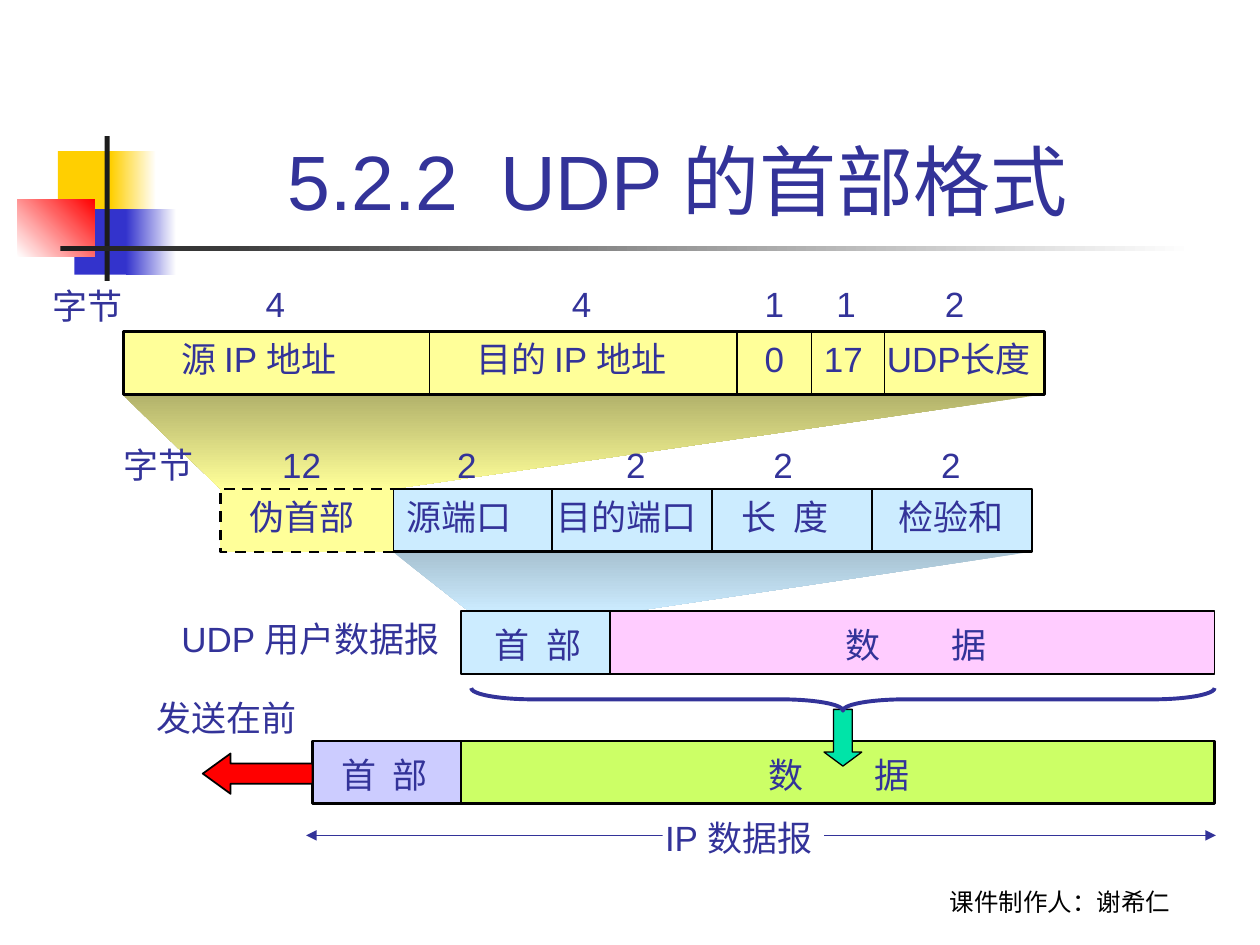
"""Build the slide on the UDP header format."""
import pptx
import pptx.dml.color
import pptx.enum.dml
import pptx.enum.shapes
import pptx.enum.text
import pptx.oxml.ns
import pptx.util
from lxml import etree

Inches = pptx.util.Inches
Pt = pptx.util.Pt
MSO = pptx.enum.shapes.MSO_SHAPE
RGB = pptx.dml.color.RGBColor.from_string
qn = pptx.oxml.ns.qn

C = {"gold": "FFCF01", "blue": "3333CC", "red": "FF0000", "ink": "1C1C1C",
     "white": "FFFFFF", "black": "000000", "navy": "333399", "yellow": "FFFF99",
     "olive": "B2B26B", "sky": "CCECFF", "steel": "A7C1D1", "lilac": "CCCCFF",
     "lime": "CCFF66", "pink": "FFCCFF", "mint": "00E4A8"}

prs = pptx.Presentation()
prs.slide_width, prs.slide_height = Inches(10), Inches(7.5)
s = prs.slides.add_slide(prs.slide_layouts[6])


def style(sp, fill=None, line=None, width=1, angle=0):
    sp.shadow.inherit = False
    if isinstance(fill, tuple):
        sp.fill.gradient()
        sp.fill.gradient_angle = angle
        for stop, name in zip(sp.fill.gradient_stops, fill):
            stop.color.rgb = RGB(C[name])
    elif fill:
        sp.fill.solid()
        sp.fill.fore_color.rgb = RGB(C[fill])
    else:
        sp.fill.background()
    if line:
        sp.line.color.rgb = RGB(C[line])
        sp.line.width = Pt(width)
    else:
        sp.line.fill.background()
    return sp


def label(text, x, y, w, h=0.44, tab=None, size=20, font="Arial", color="navy", **frame):
    tf = s.shapes.add_textbox(Inches(x), Inches(y), Inches(w), Inches(h)).text_frame
    for name, value in {"word_wrap": True, "margin_right": 0, **frame}.items():
        setattr(tf, name, value)
    p = tf.paragraphs[0]
    if tab:
        tabs = etree.SubElement(p._p.get_or_add_pPr(), qn("a:tabLst"))
        etree.SubElement(tabs, qn("a:tab"), pos=str(Inches(tab)), algn="l")
    r = p.add_run()
    r.text = text
    for name, value in {"size": Pt(size), "name": font}.items():
        setattr(r.font, name, value)
    r.font.color.rgb = RGB(C[color])
    return p


for x, y, w, h, fill, angle in [
    (0.46, 1.2, 0.48, 0.52, "gold", 0),
    (0.88, 1.2, 0.36, 0.52, ("gold", "white"), 0),
    (0.59, 1.66, 0.46, 0.52, "blue", 0),
    (1, 1.66, 0.4, 0.52, ("blue", "white"), 0),
    (0.14, 1.58, 0.61, 0.46, ("white", "red"), 45),
    (0.83, 1.08, 0.04, 1.15, "ink", 0),
    (0.48, 1.95, 9, 0.04, ("ink", "white"), 0),
]:
    sp = s.shapes.add_shape(MSO.RECTANGLE, Inches(x), Inches(y), Inches(w), Inches(h))
    style(sp, fill, angle=angle)

bottom = pptx.enum.text.MSO_ANCHOR.BOTTOM
label("5.2.2\tUDP 的首部格式", 1.26, 0.24, 8.52, 1.6, tab=1.69, size=44,
      margin_left=Inches(1.02), vertical_anchor=bottom)
p = label("课件制作人：谢希仁", 6.83, 6.82, 3.17, 0.5, size=14, font="Lato",
          color="black", margin_right=Inches(0.1), vertical_anchor=bottom)
p.alignment = pptx.enum.text.PP_ALIGN.CENTER

for points, fill in [
    ([(3.12, 4.38), (8.18, 4.38), (4.97, 4.86), (3.72, 4.85)], ("steel", "sky")),
    ([(0.97, 3.13), (8.28, 3.13), (3.12, 3.88), (1.75, 3.88)], ("olive", "yellow")),
]:
    points = [(Inches(x), Inches(y)) for x, y in points]
    fb = s.shapes.build_freeform(*points[0])
    fb.add_line_segments(points[1:], close=True)
    style(fb.convert_to_shape(), fill, angle=270)

for x, y, w, fill, width in [
    (2.48, 5.88, 1.18, "lilac", 1.5), (3.66, 5.88, 5.98, "lime", 1.5),
    (3.66, 4.85, 1.18, "sky", 1), (4.84, 4.85, 4.8, "pink", 1),
    (3.12, 3.88, 5.07, "sky", 1.5), (0.98, 2.63, 7.31, "yellow", 1.5),
]:
    sp = s.shapes.add_shape(MSO.RECTANGLE, Inches(x), Inches(y), Inches(w), Inches(0.5))
    style(sp, fill, "black", width)

fb = s.shapes.build_freeform(Inches(3.12), Inches(4.38))
fb.add_line_segments([(Inches(x), Inches(y)) for x, y in
                      [(1.75, 4.38), (1.75, 3.88), (3.12, 3.88)]], close=False)
sp = style(fb.convert_to_shape(), "yellow", "black", 1.5)
sp.line.dash_style = pptx.enum.dml.MSO_LINE.DASH

dividers = [(x, y, x, y + 0.5) for y, xs in
            [(2.63, (3.41, 5.85, 6.44, 7.02)), (3.88, (4.38, 5.65, 6.92))] for x in xs]
for ends in dividers + [(2.43, 6.63, 9.65, 6.63)]:
    cx = s.shapes.add_connector(pptx.enum.shapes.MSO_CONNECTOR.STRAIGHT,
                                *[Inches(v) for v in ends])
    span = ends[1] == ends[3]
    cx.line.color.rgb = RGB(C["navy" if span else "black"])
    cx.line.width = Pt(0.75)
    if span:
        for end in ("headEnd", "tailEnd"):
            etree.SubElement(cx.line._get_or_add_ln(), qn("a:" + end), type="triangle")
    etree.SubElement(cx._element.spPr, qn("a:effectLst"))

for kind, x, y, w, h, fill, line, width, adjust, turn in [
    (MSO.LEFT_ARROW, 1.61, 5.98, 0.87, 0.32, "red", "black", 1, (0.5, 0.69), 0),
    (MSO.RECTANGLE, 5.26, 6.46, 1.28, 0.32, "white", None, 1, (), 0),
    (MSO.DOWN_ARROW, 6.54, 5.63, 0.3, 0.45, "mint", "black", 0.75, (0.5, 0.37), 0),
    (MSO.LEFT_BRACE, 6.6, 2.6, 0.18, 5.9, None, "navy", 2.25, (2.72, 0.5), 270),
]:
    sp = s.shapes.add_shape(kind, Inches(x), Inches(y), Inches(w), Inches(h))
    style(sp, fill, line, width)
    for i, value in enumerate(adjust):
        sp.adjustments[i] = value
    sp.rotation = turn

for y, items in [
    (2.21, [("字节", 0.32, 0.75)]),
    (2.19, [("4", 2.01, 0.35), ("4", 4.44, 0.35), ("1", 5.97, 0.35),
            ("1", 6.54, 0.35), ("2", 7.4, 0.35)]),
    (2.63, [("源 IP 地址", 1.34, 1.57), ("目的 IP 地址", 3.68, 1.85),
            ("0", 5.97, 0.35), ("17", 6.44, 0.51), ("UDP长度", 6.94, 1.41)]),
    (3.47, [("字节", 0.88, 0.75), ("12", 2.14, 0.51), ("2", 3.53, 0.35),
            ("2", 4.87, 0.35), ("2", 6.04, 0.35), ("2", 7.37, 0.35)]),
    (3.88, [("伪首部", 1.88, 1.03), ("源端口", 3.13, 1.03), ("目的端口", 4.32, 1.31),
            ("长\t度", 5.79, 0.88, 0.41), ("检验和", 7.03, 1.03)]),
    (4.85, [("UDP 用户数据报", 1.34, 2.32)]),
    (4.9, [("首\t部", 3.83, 0.88, 0.41), ("数\t据", 6.61, 1.32, 0.84)]),
    (5.48, [("发送在前", 1.14, 1.31)]),
    (5.93, [("首\t部", 2.61, 0.88, 0.41), ("数\t据", 6, 1.32, 0.84)]),
    (6.43, [("IP 数据报", 5.18, 1.44)]),
]:
    for text, x, w, *tab in items:
        label(text, x, y, w, tab=tab[0] if tab else None)

prs.save("out.pptx")
